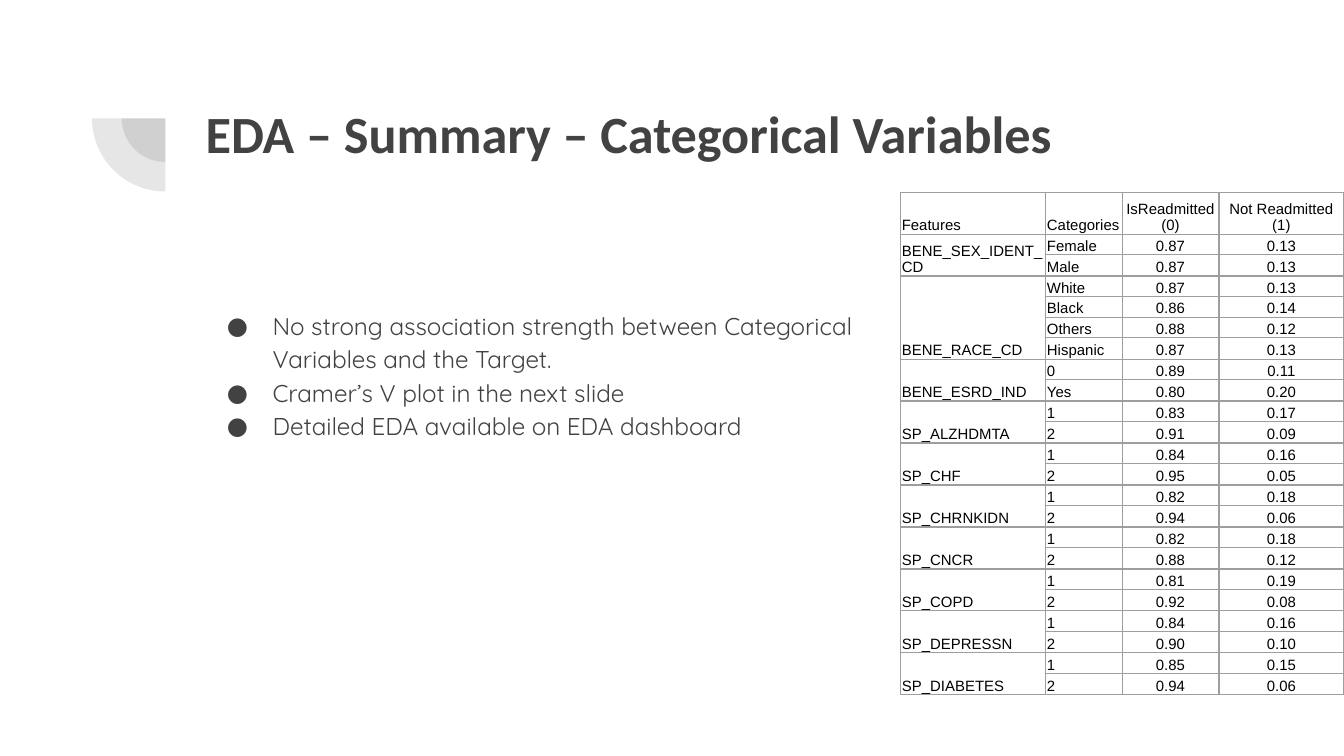
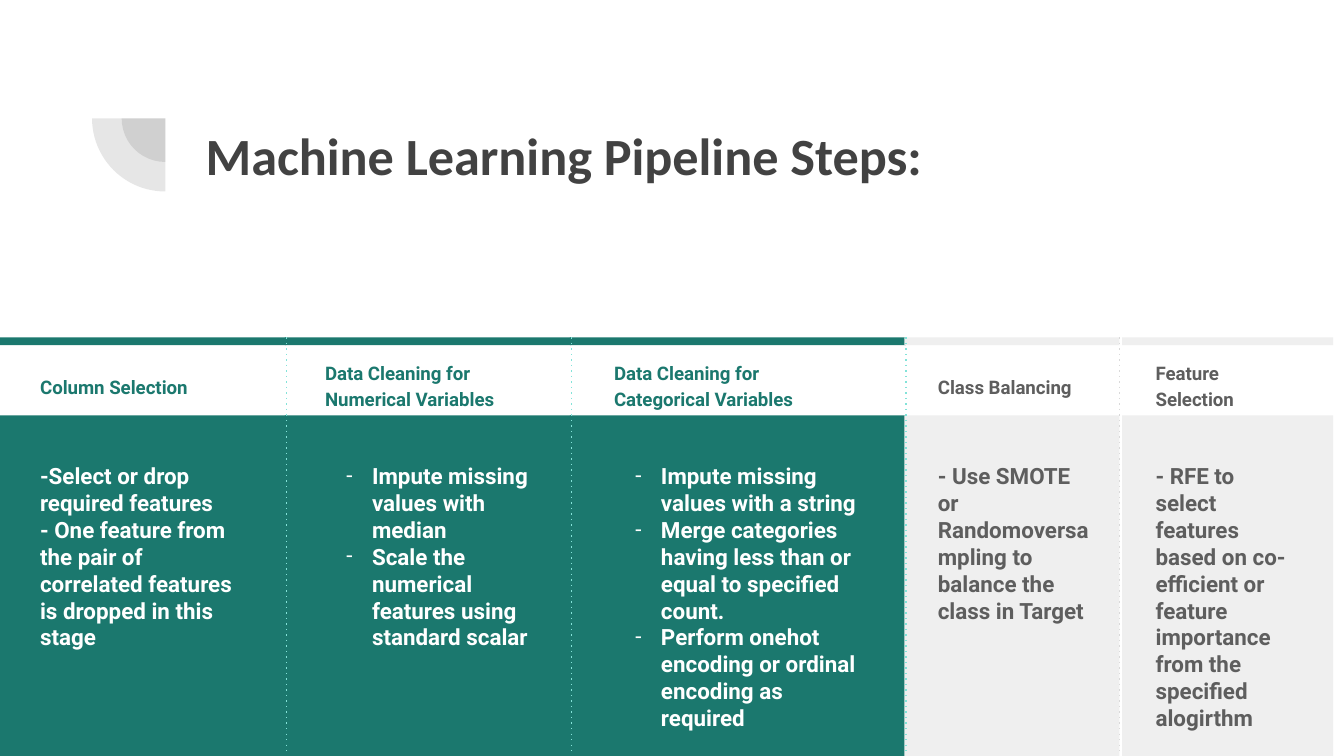
from dataclasses import dataclass

from lxml.etree import SubElement
from pptx import Presentation
from pptx.dml.color import RGBColor
from pptx.enum.dml import MSO_LINE
from pptx.enum.shapes import MSO_CONNECTOR, MSO_SHAPE
from pptx.enum.text import MSO_ANCHOR, MSO_AUTO_SIZE, PP_ALIGN
from pptx.oxml.ns import qn
from pptx.util import Inches, Pt

COLORS = {
    "text": "424242", "white": "FFFFFF", "black": "000000", "grid": "9E9E9E",
    "teal": "1B786E", "mint": "83E3D9",
    "pale": "EFEFEF", "grey": "5E5E5E", "silver": "D9D9D9",
}
# Each tone: fill, heading colour, body colour, divider colour
TONES = {
    "active": ("teal", "teal", "white", "mint"),
    "muted": ("pale", "grey", "grey", "silver"),
}
TITLE_ONLY = 5
PADDING = 0.1

BULLETS = [
    "No strong association strength between Categorical Variables and the Target.",
    "Cramer’s V plot in the next slide",
    "Detailed EDA available on EDA dashboard",
]
TABLE_HEADER = ["Features", "Categories", "IsReadmitted\v(0)", "Not Readmitted\v(1)"]
TABLE_COLUMNS = [1.08, 0.57, 0.72, 0.93]
FEATURES = {
    "BENE_SEX_IDENT_CD": [("Female", 0.87, 0.13), ("Male", 0.87, 0.13)],
    "BENE_RACE_CD": [("White", 0.87, 0.13), ("Black", 0.86, 0.14),
                     ("Others", 0.88, 0.12), ("Hispanic", 0.87, 0.13)],
    "BENE_ESRD_IND": [("0", 0.89, 0.11), ("Yes", 0.80, 0.20)],
    "SP_ALZHDMTA": [("1", 0.83, 0.17), ("2", 0.91, 0.09)],
    "SP_CHF": [("1", 0.84, 0.16), ("2", 0.95, 0.05)],
    "SP_CHRNKIDN": [("1", 0.82, 0.18), ("2", 0.94, 0.06)],
    "SP_CNCR": [("1", 0.82, 0.18), ("2", 0.88, 0.12)],
    "SP_COPD": [("1", 0.81, 0.19), ("2", 0.92, 0.08)],
    "SP_DEPRESSN": [("1", 0.84, 0.16), ("2", 0.90, 0.10)],
    "SP_DIABETES": [("1", 0.85, 0.15), ("2", 0.94, 0.06)],
}


@dataclass
class Box:
    left: float
    top: float
    width: float
    height: float

    def within(self, left, top, width, height):
        """Return a box whose corner is measured from this one."""
        return Box(self.left + left, self.top + top, width, height)

    def emu(self):
        return [Inches(n) for n in (self.left, self.top, self.width, self.height)]


@dataclass
class Step:
    gap: float
    width: float
    indent: float
    heading: str
    heading_width: float
    two_lines: bool
    body: list
    body_width: float
    tone: str
    dashed: bool = False


STEPS = [
    Step(0, 2.13, 0.2, "Column Selection", 1.59, False,
         ["-Select or drop required features",
          "- One feature from the pair of correlated features is dropped in this stage"],
         1.73, "active"),
    Step(-0.01, 2.13, 0.2, "Data Cleaning for Numerical Variables", 1.61, True,
         ["Impute missing values with median",
          "Scale the numerical features using standard scalar"],
         1.73, "active", True),
    Step(-0.01, 2.5, 0.23, "Data Cleaning for Categorical Variables", 1.89, True,
         ["Impute missing values with a string",
          "Merge categories having less than or equal to specified count.",
          "Perform onehot encoding or ordinal encoding as required"],
         2.03, "active", True),
    Step(-0.01, 1.6, 0.15, "Class Balancing", 1.28, False,
         ["- Use SMOTE or Randomoversampling to balance the class in Target"],
         1.33, "muted"),
    Step(0.02, 1.57, 0.15, "Feature Selection", 1.27, True,
         ["- RFE to select features based on co-efficient or feature importance "
          "from the specified alogirthm"],
         1.27, "muted"),
]


def rgb(name):
    return RGBColor.from_string(COLORS[name])


def style_runs(paragraph, font, size, color, bold=False):
    for run in paragraph.runs:
        run.font.name = font
        run.font.size = Pt(size)
        run.font.bold = bold
        run.font.color.rgb = rgb(color)


def set_bullet(paragraph, character, font, color, margin, hanging):
    properties = paragraph._p.get_or_add_pPr()
    properties.set("marL", str(Inches(margin)))
    properties.set("indent", str(-Inches(hanging)))
    bullet_color = SubElement(properties, qn("a:buClr"))
    SubElement(bullet_color, qn("a:srgbClr")).set("val", COLORS[color])
    SubElement(properties, qn("a:buFont")).set("typeface", font)
    SubElement(properties, qn("a:buChar")).set("char", character)


def prepare_frame(text_frame):
    text_frame.word_wrap = True
    text_frame.auto_size = MSO_AUTO_SIZE.NONE
    text_frame.vertical_anchor = MSO_ANCHOR.TOP
    text_frame.margin_left = text_frame.margin_right = Inches(PADDING)
    text_frame.margin_top = text_frame.margin_bottom = Inches(PADDING)


def add_text(slide, box, lines, font, size, color, bold=False):
    """Add a text box with one paragraph a line and return its paragraphs."""
    text_frame = slide.shapes.add_textbox(*box.emu()).text_frame
    prepare_frame(text_frame)
    text_frame.text = "\n".join(lines)
    for paragraph in text_frame.paragraphs:
        style_runs(paragraph, font, size, color, bold)
    return text_frame.paragraphs


def add_filled(slide, kind, box, color):
    shape = slide.shapes.add_shape(kind, *box.emu())
    shape.shadow.inherit = False
    shape.fill.solid()
    shape.fill.fore_color.rgb = rgb(color)
    shape.line.fill.background()
    return shape


def add_corner_mark(slide, center_x, center_y):
    """Draw two translucent quarter discs around one centre."""
    for size in (0.65, 1.09):
        box = Box(center_x - size / 2, center_y - size / 2, size, size)
        pie = add_filled(slide, MSO_SHAPE.PIE, box, "text")
        pie.rotation = 270
        pie.adjustments[0], pie.adjustments[1] = 108, 162
        color = pie.fill._xPr.find(".//" + qn("a:srgbClr"))
        SubElement(color, qn("a:alpha")).set("val", "13000")


def add_titled_slide(presentation, title, box):
    slide = presentation.slides.add_slide(presentation.slide_layouts[TITLE_ONLY])
    add_corner_mark(slide, 1.23, 0.88)
    placeholder = slide.shapes.title
    placeholder.left, placeholder.top, placeholder.width, placeholder.height = box.emu()
    prepare_frame(placeholder.text_frame)
    placeholder.text_frame.text = title
    paragraph = placeholder.text_frame.paragraphs[0]
    paragraph.alignment = PP_ALIGN.LEFT
    style_runs(paragraph, "Calibri", 28, "text", True)
    return slide


def format_cell(cell, centered):
    cell.vertical_anchor = MSO_ANCHOR.BOTTOM
    cell.margin_left = cell.margin_right = cell.margin_top = Inches(0.01)
    cell.margin_bottom = 0
    paragraph = cell.text_frame.paragraphs[0]
    paragraph.alignment = PP_ALIGN.CENTER if centered else PP_ALIGN.LEFT
    style_runs(paragraph, "Arial", 8, "black")
    if not paragraph.runs:
        SubElement(paragraph._p, qn("a:endParaRPr")).set("sz", "800")
    properties = cell._tc.get_or_add_tcPr()
    for side in ("a:lnL", "a:lnR", "a:lnT", "a:lnB"):
        border = SubElement(properties, qn(side))
        border.set("w", str(Pt(0.75)))
        fill = SubElement(border, qn("a:solidFill"))
        SubElement(fill, qn("a:srgbClr")).set("val", COLORS["grid"])
    cell.fill.background()


def add_feature_table(slide, box):
    row_count = 1 + sum(len(rows) for rows in FEATURES.values())
    table = slide.shapes.add_table(row_count, len(TABLE_COLUMNS), *box.emu()).table
    table.first_row = table.horz_banding = False
    for column, width in zip(table.columns, TABLE_COLUMNS):
        column.width = Inches(width)
    table.rows[0].height = Pt(22.5)
    for index, heading in enumerate(TABLE_HEADER):
        table.cell(0, index).text = heading

    first = 1
    for feature, rows in FEATURES.items():
        last = first + len(rows) - 1
        table.cell(first, 0).text = feature
        for index, (category, *shares) in enumerate(rows, first):
            table.rows[index].height = Pt(11.5 if index == last else 11)
            table.cell(index, 1).text = category
            for column, share in enumerate(shares, 2):
                table.cell(index, column).text = f"{share:.2f}"
        table.cell(first, 0).merge(table.cell(last, 0))
        first = last + 1

    for row in table.rows:
        for index, cell in enumerate(row.cells):
            format_cell(cell, centered=index >= 2)


def add_divider(slide, x, top, bottom, color):
    connector = slide.shapes.add_connector(
        MSO_CONNECTOR.STRAIGHT, Inches(x), Inches(top), Inches(x), Inches(bottom))
    connector.line.color.rgb = rgb(color)
    connector.line.width = Pt(0.75)
    connector.line.dash_style = MSO_LINE.ROUND_DOT
    properties = connector._element.spPr
    properties.find(".//" + qn("a:prstDash")).set("val", "dot")
    SubElement(properties, qn("a:effectLst"))


def add_step(slide, box, step):
    """Draw one pipeline column: top bar, heading and filled panel."""
    fill, heading_color, body_color, _ = TONES[step.tone]
    panel_top = 0.58
    for top, height in ((panel_top, box.height - panel_top), (0, 0.06)):
        add_filled(slide, MSO_SHAPE.RECTANGLE,
                   box.within(0, top, box.width, height), fill)

    heading_top, heading_height = (0.06, 0.39) if step.two_lines else (0.16, 0.28)
    heading_box = box.within(step.indent, heading_top, step.heading_width, heading_height)
    heading = add_text(slide, heading_box, [step.heading], "Roboto", 10,
                       heading_color, True)[0]
    heading.line_spacing = 1.15
    heading.space_after = Pt(16)

    body_box = box.within(step.indent, 0.83, step.body_width, 2.17)
    for paragraph in add_text(slide, body_box, step.body, "Roboto", 12, body_color, True):
        if step.dashed:
            set_bullet(paragraph, "-", "Roboto", body_color, 0.35, 0.19)


def build_summary_slide(presentation):
    slide = add_titled_slide(presentation, "EDA – Summary – Categorical Variables",
                             Box(1.43, 0.65, 7.69, 1.09))
    for paragraph in add_text(slide, Box(1.43, 2.18, 5.47, 2.78), BULLETS,
                              "Quicksand", 13, "text"):
        paragraph.line_spacing = 1.15
        set_bullet(paragraph, "●", "Quicksand", "text", 0.5, 0.34)
    add_feature_table(slide, Box(6.7, 1.43, 3.3, 3.74))


def build_pipeline_slide(presentation):
    slide = add_titled_slide(presentation, "Machine Learning Pipeline Steps:",
                             Box(1.43, 0.82, 7.69, 0.74))
    region = Box(0, 2.51, 10, 3.12)
    left = region.left
    dividers = []
    for step in STEPS:
        left += step.gap
        add_step(slide, Box(left, region.top, step.width, region.height), step)
        left += step.width
        dividers.append((left, TONES[step.tone][3]))
    for x, color in dividers[:-1]:
        add_divider(slide, x, region.top, 5.61, color)


def main():
    presentation = Presentation()
    presentation.slide_width = Inches(10)
    presentation.slide_height = presentation.slide_width * 9 // 16
    build_summary_slide(presentation)
    build_pipeline_slide(presentation)
    presentation.save("out.pptx")


if __name__ == "__main__":
    main()
